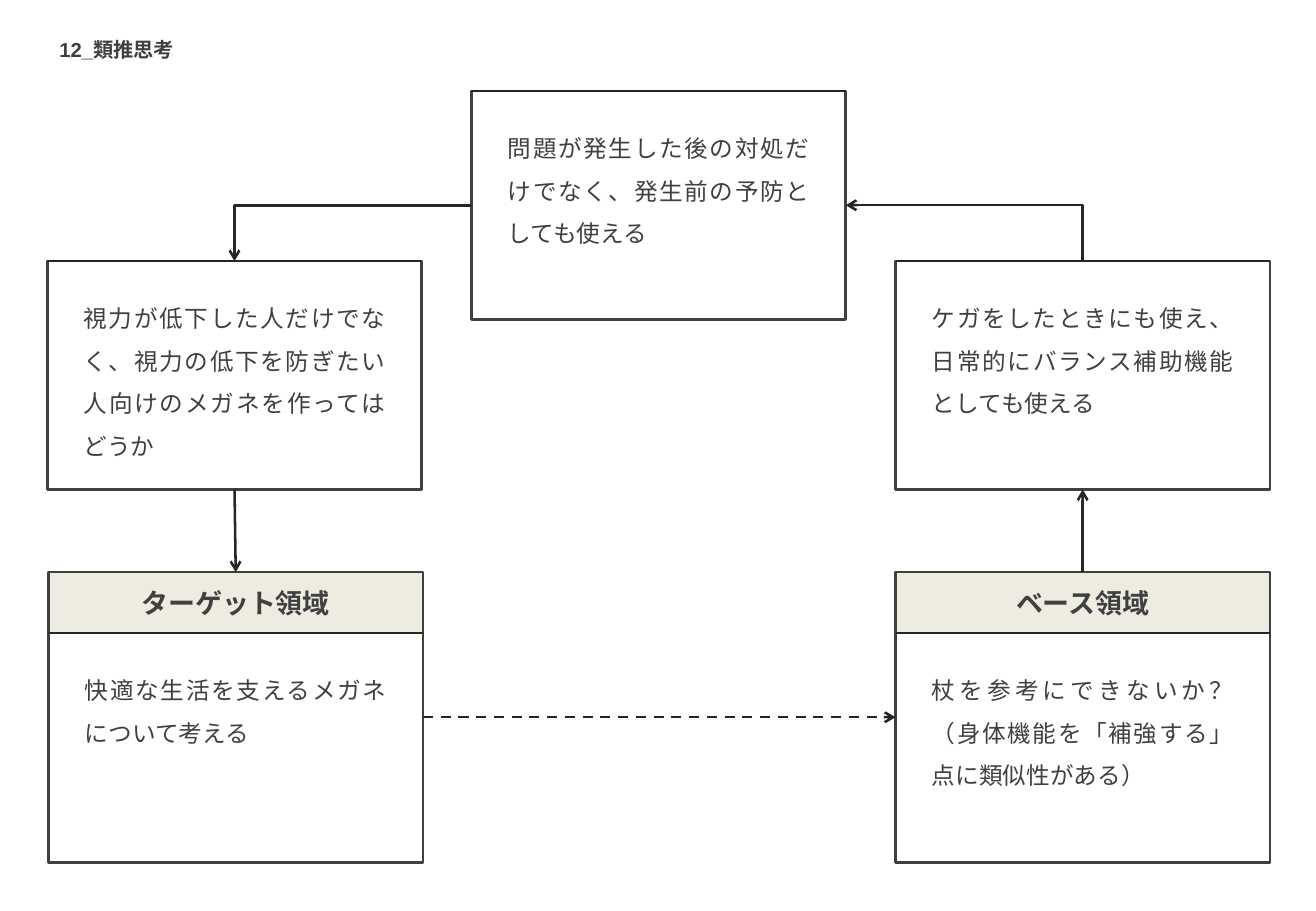
import pptx
import pptx.util
import pptx.dml.color
import pptx.enum.dml
import pptx.enum.shapes
import pptx.enum.text
import pptx.oxml
import pptx.oxml.ns

Inches = pptx.util.Inches
Pt = pptx.util.Pt
ALIGN = pptx.enum.text.PP_ALIGN
ANCHOR = pptx.enum.text.MSO_ANCHOR
CONNECTOR = pptx.enum.shapes.MSO_CONNECTOR

TEXT_GRAY = pptx.dml.color.RGBColor(0x40, 0x40, 0x40)
LINE_BLACK = pptx.dml.color.RGBColor(0x26, 0x26, 0x26)
HEADER_BEIGE = pptx.dml.color.RGBColor(0xEE, 0xEC, 0xE1)
FONT = "Arial"
TOP, LEFT, BOTTOM, RIGHT = range(4)

TITLE = "12_類推思考"
# key: (left, top, heading, body)
CARDS = {
    "target": (0.4, 4.71, "ターゲット領域", "快適な生活を支えるメガネについて考える"),
    "base": (7.37, 4.71, "ベース領域",
             "杖を参考にできないか？（身体機能を「補強する」点に類似性がある）"),
    "principle": (3.88, 0.75, None,
                  "問題が発生した後の対処だけでなく、発生前の予防としても使える"),
    "feature": (7.37, 2.15, None,
                "ケガをしたときにも使え、日常的にバランス補助機能としても使える"),
    "idea": (0.39, 2.15, None,
             "視力が低下した人だけでなく、視力の低下を防ぎたい人向けのメガネを作ってはどうか"),
}
# (from card, side, to card, side, dashed)
ARROWS = [
    ("feature", TOP, "principle", RIGHT, False),
    ("principle", LEFT, "idea", TOP, False),
    ("base", TOP, "feature", BOTTOM, False),
    ("idea", BOTTOM, "target", TOP, False),
    ("target", RIGHT, "base", LEFT, True),
]
CARD_WIDTH, BODY_HEIGHT, HEADER_HEIGHT = 3.08, 1.88, 0.5
BODY_INSET, BODY_GAP = 0.2, 0.19

prs = pptx.Presentation()
prs.slide_width, prs.slide_height = Inches(10.83), Inches(7.5)
slide = prs.slides.add_slide(prs.slide_layouts[6])


def add_text(text, left, top, width, height, size, bold=False,
             align=ALIGN.LEFT, spacing=None, anchor=ANCHOR.TOP):
    box = slide.shapes.add_textbox(*map(Inches, (left, top, width, height)))
    frame = box.text_frame
    frame.text = text
    frame.word_wrap = True
    frame.vertical_anchor = anchor
    paragraph = frame.paragraphs[0]
    paragraph.alignment = align
    paragraph.line_spacing = spacing
    font = paragraph.runs[0].font
    font.name, font.size, font.bold = FONT, Pt(size), bold
    font.color.rgb = TEXT_GRAY


def add_rect(left, top, height, fill=None):
    """Draw a card-wide rectangle: filled without outline, or outlined only."""
    rect = slide.shapes.add_shape(
        pptx.enum.shapes.MSO_SHAPE.RECTANGLE,
        *map(Inches, (left, top, CARD_WIDTH, height)))
    rect.shadow.inherit = False
    if fill is None:
        rect.fill.background()
        rect.line.color.rgb = TEXT_GRAY
        rect.line.width = Pt(1.5)
    else:
        rect.fill.solid()
        rect.fill.fore_color.rgb = fill
        rect.line.fill.background()
    return rect


def add_line(kind, x1, y1, x2, y2):
    line = slide.shapes.add_connector(kind, *map(Inches, (x1, y1, x2, y2)))
    line.line.color.rgb = LINE_BLACK
    line.line.width = Pt(1.5)
    pptx.oxml.ns.qn("a:effectLst")
    line._element.spPr.append(
        pptx.oxml.parse_xml(f"<a:effectLst {pptx.oxml.ns.nsdecls('a')}/>"))
    return line


def add_card(left, top, heading, body):
    divider = top + HEADER_HEIGHT if heading else top
    if heading:
        add_rect(left, top, HEADER_HEIGHT, HEADER_BEIGE)
    frame = add_rect(left, top, divider - top + BODY_HEIGHT + (0.01 if heading else 0))
    add_line(CONNECTOR.STRAIGHT, left, divider, left + CARD_WIDTH, divider)
    if heading:
        add_text(heading, left, top + 0.07, CARD_WIDTH, 0.37, 16, True,
                 ALIGN.CENTER, anchor=ANCHOR.MIDDLE)
    add_text(body, left + BODY_INSET, divider + BODY_GAP,
             CARD_WIDTH - 2 * BODY_INSET, 1.13, 14,
             align=ALIGN.JUSTIFY, spacing=1.5)
    return frame


def bend(arrow, upward_first):
    """Give an elbow one corner; upward_first leaves upward and then turns left."""
    geometry = arrow._element.spPr.find(pptx.oxml.ns.qn("a:prstGeom"))
    geometry.set("prst", "bentConnector2")
    if upward_first:
        x, y = arrow.left + arrow.width // 2, arrow.top + arrow.height // 2
        arrow.width, arrow.height = arrow.height, arrow.width
        arrow.left, arrow.top = x - arrow.width // 2, y - arrow.height // 2
        xfrm = arrow._element.spPr.find(pptx.oxml.ns.qn("a:xfrm"))
        xfrm.set("rot", str(270 * 60000))
        xfrm.set("flipH", "0")
        xfrm.set("flipV", "1")


def add_arrow(start, start_side, end, end_side, dashed):
    bent = start_side % 2 != end_side % 2
    arrow = add_line(CONNECTOR.ELBOW if bent else CONNECTOR.STRAIGHT, 0, 0, 0, 0)
    arrow.begin_connect(start, start_side)
    arrow.end_connect(end, end_side)
    if bent:
        bend(arrow, start_side == TOP)
    if dashed:
        arrow.line.dash_style = pptx.enum.dml.MSO_LINE.DASH
    arrow.line._get_or_add_ln().append(pptx.oxml.parse_xml(
        f'<a:tailEnd {pptx.oxml.ns.nsdecls("a")} type="arrow"/>'))


add_text(TITLE, 0.39, 0.26, 1.15, 0.3, 12, True)
frames = {key: add_card(*card) for key, card in CARDS.items()}
for start, start_side, end, end_side, dashed in ARROWS:
    add_arrow(frames[start], start_side, frames[end], end_side, dashed)

prs.save("out.pptx")
